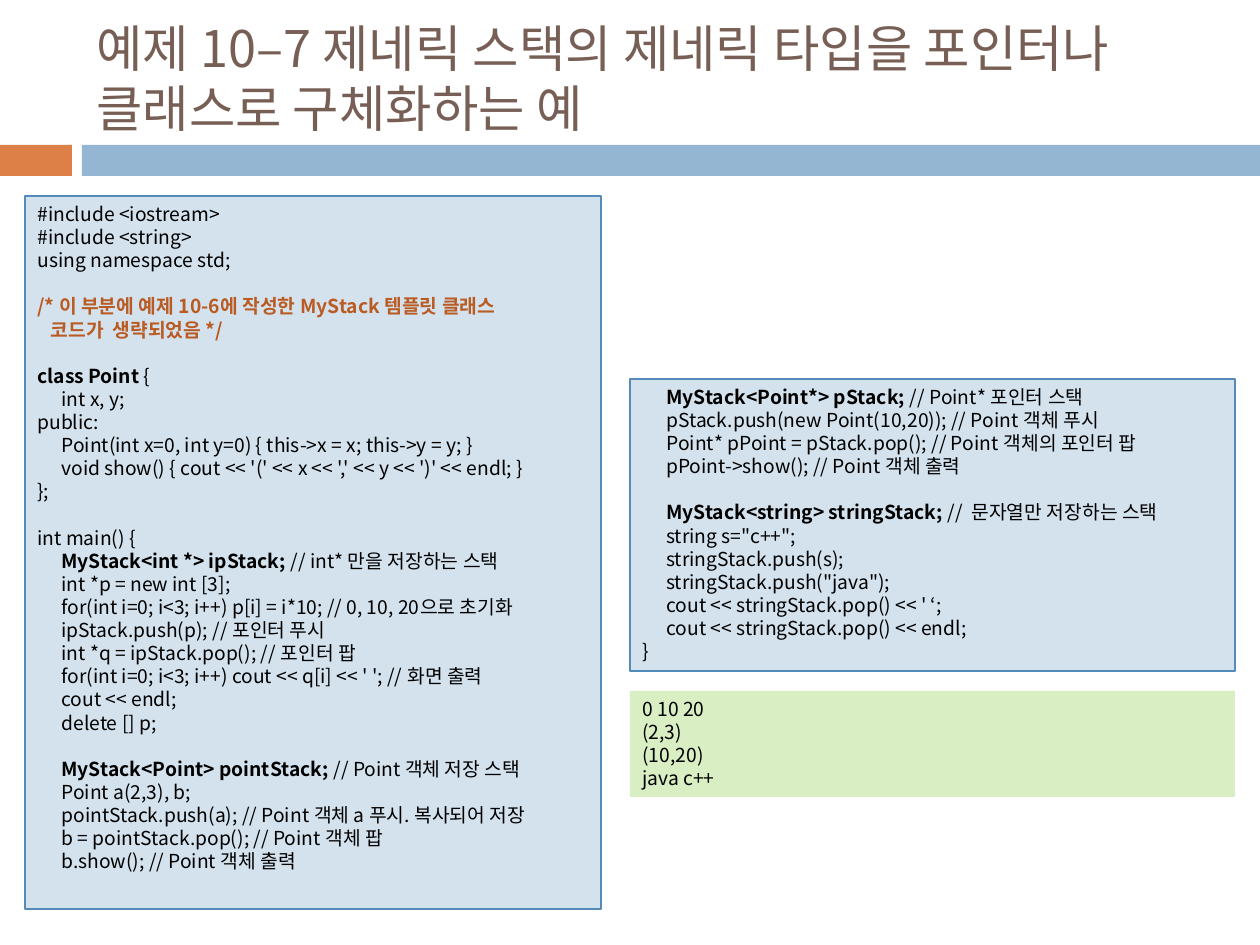
from lxml.etree import SubElement
from pptx import Presentation
from pptx.dml.color import RGBColor
from pptx.enum.shapes import MSO_SHAPE
from pptx.enum.text import MSO_ANCHOR
from pptx.oxml.ns import qn
from pptx.util import Pt

PX = 914400 // 126
FONT = "Noto Sans CJK KR"
BLACK = RGBColor(0x00, 0x00, 0x00)
BROWN = RGBColor(0x77, 0x5F, 0x55)
ORANGE = RGBColor(0xDD, 0x80, 0x47)
RUST = RGBColor(0xB9, 0x5B, 0x22)
BLUE = RGBColor(0x94, 0xB6, 0xD2)
PALE_BLUE = RGBColor(0xD4, 0xE2, 0xED)
EDGE_BLUE = RGBColor(0x55, 0x8B, 0xB8)
PALE_GREEN = RGBColor(0xDA, 0xEE, 0xC4)

TITLE = "예제 10–7 제네릭 스택의 제네릭 타입을 포인터나 클래스로 구체화하는 예"
LEFT_CODE = """#include <iostream>
#include <string>
using namespace std;

/* 이 부분에 예제 10-6에 작성한 MyStack 템플릿 클래스
   코드가  생략되었음 */

class Point {
\tint x, y;
public:
\tPoint(int x=0, int y=0) { this->x = x; this->y = y; }
\tvoid show() { cout << '(' << x << ',' << y << ')' << endl; }
};

int main() {
\tMyStack<int *> ipStack; // int* 만을 저장하는 스택
\tint *p = new int [3];
\tfor(int i=0; i<3; i++) p[i] = i*10; // 0, 10, 20으로 초기화
\tipStack.push(p); // 포인터 푸시
\tint *q = ipStack.pop(); // 포인터 팝
\tfor(int i=0; i<3; i++) cout << q[i] << ' '; // 화면 출력
\tcout << endl;
\tdelete [] p;

\tMyStack<Point> pointStack; // Point 객체 저장 스택
\tPoint a(2,3), b;
\tpointStack.push(a); // Point 객체 a 푸시. 복사되어 저장
\tb = pointStack.pop(); // Point 객체 팝
\tb.show(); // Point 객체 출력"""
RIGHT_CODE = """\tMyStack<Point*> pStack; // Point* 포인터 스택
\tpStack.push(new Point(10,20)); // Point 객체 푸시
\tPoint* pPoint = pStack.pop(); // Point 객체의 포인터 팝
\tpPoint->show(); // Point 객체 출력

\tMyStack<string> stringStack; //  문자열만 저장하는 스택
\tstring s="c++";
\tstringStack.push(s);
\tstringStack.push("java");
\tcout << stringStack.pop() << ' ‘;
\tcout << stringStack.pop() << endl;
}"""
OUTPUT = """0 10 20
(2,3)
(10,20)
java c++"""
BOLD_PARTS = {
    "/* 이 부분에 예제 10-6에 작성한 MyStack 템플릿 클래스": RUST,
    "   코드가  생략되었음 */": RUST,
    "class Point ": BLACK,
    "MyStack<int *> ipStack; ": BLACK,
    "MyStack<Point> pointStack; ": BLACK,
    "MyStack<Point*> pStack; ": BLACK,
    "MyStack<string> stringStack; ": BLACK,
}


def emu(box):
    return [length * PX for length in box]


def style_font(font, size, color, bold=False):
    font.size = Pt(size)
    font.name = FONT
    font.bold = bold
    font.color.rgb = color


def set_east_asian_font(run):
    SubElement(run.font._element, qn("a:ea"), typeface=FONT)


def add_panel(slide, box, fill, edge=None):
    panel = slide.shapes.add_shape(MSO_SHAPE.RECTANGLE, *emu(box))
    panel.shadow.inherit = False
    panel.fill.solid()
    panel.fill.fore_color.rgb = fill
    if edge is None:
        panel.line.fill.background()
    else:
        panel.line.color.rgb = edge
        panel.line.width = Pt(0.75)
    return panel


def add_header(slide, box):
    """Title above a band split into an orange and a blue part."""
    left, top, width, height = box
    band_height, orange_width, gap = 31, 72, 10
    band_top = top + height - band_height
    blue_left = orange_width + gap
    add_panel(slide, (left, band_top, orange_width, band_height), ORANGE)
    add_panel(slide, (left + blue_left, band_top, width - blue_left, band_height), BLUE)

    title = slide.shapes.add_textbox(*emu((left + 84, top + 31, 1124, 94)))
    frame = title.text_frame
    frame.word_wrap = True
    frame.vertical_anchor = MSO_ANCHOR.MIDDLE
    frame.text = TITLE
    paragraph = frame.paragraphs[0]
    paragraph.line_spacing = Pt(34.3)
    run = paragraph.runs[0]
    style_font(run.font, 28.8, BROWN)
    set_east_asian_font(run)


def split_bold(line):
    """Yield (text, bold, color) pieces of a code line."""
    phrase = next((part for part in BOLD_PARTS if part in line), None)
    if phrase is None:
        yield line, False, BLACK
        return
    before, after = line.split(phrase)
    yield before, False, BLACK
    yield phrase, True, BOLD_PARTS[phrase]
    yield after, False, BLACK


def add_listing(slide, box, code, fill, edge=None):
    frame = add_panel(slide, box, fill, edge).text_frame
    frame.word_wrap = True
    frame.vertical_anchor = MSO_ANCHOR.TOP
    for number, line in enumerate(code.split("\n")):
        paragraph = frame.add_paragraph() if number else frame.paragraphs[0]
        paragraph.line_spacing = Pt(13.2)
        properties = paragraph._p.get_or_add_pPr()
        properties.set("algn", "l")
        tabs = SubElement(properties, qn("a:tabLst"))
        SubElement(tabs, qn("a:tab"), pos=str(24 * PX), algn="l")
        style_font(paragraph.font, 11, BLACK)
        for text, bold, color in split_bold(line):
            if text:
                run = paragraph.add_run()
                run.text = text
                style_font(run.font, 11, color, bold)
                set_east_asian_font(run)


def main():
    presentation = Presentation()
    presentation.slide_width = 1260 * PX
    presentation.slide_height = 945 * PX
    slide = presentation.slides.add_slide(presentation.slide_layouts[6])
    add_header(slide, (0, 0, 1260, 176))
    add_listing(slide, (25, 196, 576, 713), LEFT_CODE, PALE_BLUE, EDGE_BLUE)
    add_listing(slide, (630, 379, 605, 292), RIGHT_CODE, PALE_BLUE, EDGE_BLUE)
    add_listing(slide, (630, 691, 605, 106), OUTPUT, PALE_GREEN)
    presentation.save("out.pptx")


if __name__ == "__main__":
    main()
